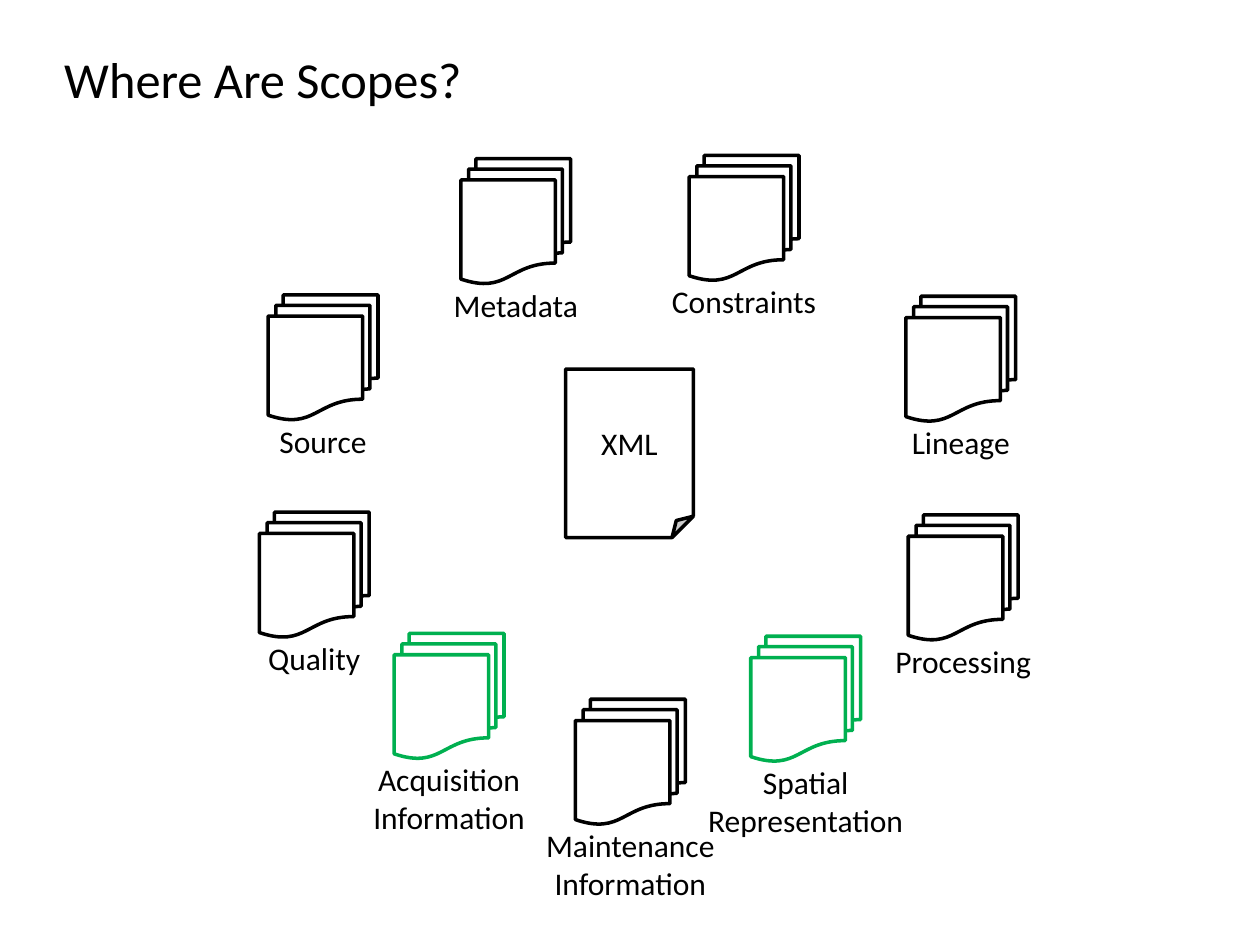
from pptx import Presentation
from pptx.dml.color import RGBColor
from pptx.enum.shapes import MSO_SHAPE
from pptx.enum.text import MSO_ANCHOR, MSO_AUTO_SIZE, PP_ALIGN
from pptx.util import Pt

STACK = MSO_SHAPE.FLOWCHART_MULTIDOCUMENT
PAGE = MSO_SHAPE.FOLDED_CORNER
MIDDLE = MSO_ANCHOR.MIDDLE
GROW = MSO_AUTO_SIZE.SHAPE_TO_FIT_TEXT
NO_FIT = MSO_AUTO_SIZE.NONE
LEFT, CENTER = PP_ALIGN.LEFT, PP_ALIGN.CENTER

BLACK, WHITE, GREEN = "000000", "FFFFFF", "00B050"


def write_lines(text_frame, lines, size, alignment):
    for index, line in enumerate(lines):
        paragraph = text_frame.paragraphs[0] if index == 0 else text_frame.add_paragraph()
        paragraph.alignment = alignment
        run = paragraph.add_run()
        run.text = line
        run.font.name = "Calibri"
        run.font.size = Pt(size)
        run.font.color.rgb = RGBColor.from_string(BLACK)


def add_document(shapes, kind, left, top, width, height, line_color):
    shape = shapes.add_shape(kind, Pt(left), Pt(top), Pt(width), Pt(height))
    shape.shadow.inherit = False
    shape.fill.solid()
    shape.fill.fore_color.rgb = RGBColor.from_string(WHITE)
    shape.line.color.rgb = RGBColor.from_string(line_color)
    shape.line.width = Pt(2)
    return shape


presentation = Presentation()
presentation.slide_width, presentation.slide_height = Pt(720), Pt(540)
slide = presentation.slides.add_slide(presentation.slide_layouts[5])

# Title
title = slide.shapes.title
title.left, title.top, title.width, title.height = Pt(29.5), Pt(23), Pt(330.5), Pt(44)
title.text_frame.auto_size = NO_FIT
title.text_frame.vertical_anchor = MIDDLE
write_lines(title.text_frame, ["Where Are Scopes?"], 28.8, LEFT)

# Central XML page
page = add_document(slide.shapes, PAGE, 323.2, 210.9, 73, 96.3, BLACK)
page.text_frame.vertical_anchor = MIDDLE
write_lines(page.text_frame, ["XML"], 18, CENTER)

# Ring of scopes: label lines, stack left and top, label width, line colour
scopes = [
    (["Quality"], 148.2, 292.7, 67.7, BLACK),
    (["Lineage"], 517.6, 169.3, 71.3, BLACK),
    (["Maintenance", "Information"], 328.8, 399.6, 112.3, BLACK),
    (["Metadata"], 263.3, 90.7, 87.1, BLACK),
    (["Constraints"], 393.8, 88.8, 98.6, BLACK),
    (["Processing"], 519, 294.3, 92.9, BLACK),
    (["Source"], 153.2, 168.5, 64.8, BLACK),
    (["Acquisition", "Information"], 225.2, 362, 102.2, GREEN),
    (["Spatial", "Representation"], 429, 363.6, 127.4, GREEN),
]
STACK_WIDTH, STACK_HEIGHT = 62.8, 71.5
LABEL_OFFSET = 69

for lines, left, top, label_width, line_color in scopes:
    group = slide.shapes.add_group_shape()
    add_document(group.shapes, STACK, left, top, STACK_WIDTH, STACK_HEIGHT, line_color)

    # Label centred under its stack
    label_left = left + (STACK_WIDTH - label_width) / 2
    label_height = 7.2 + 22 * len(lines)
    label = group.shapes.add_textbox(
        Pt(label_left), Pt(top + LABEL_OFFSET), Pt(label_width), Pt(label_height))
    label.text_frame.word_wrap = False
    label.text_frame.auto_size = GROW
    write_lines(label.text_frame, lines, 18, CENTER)

presentation.save("out.pptx")
